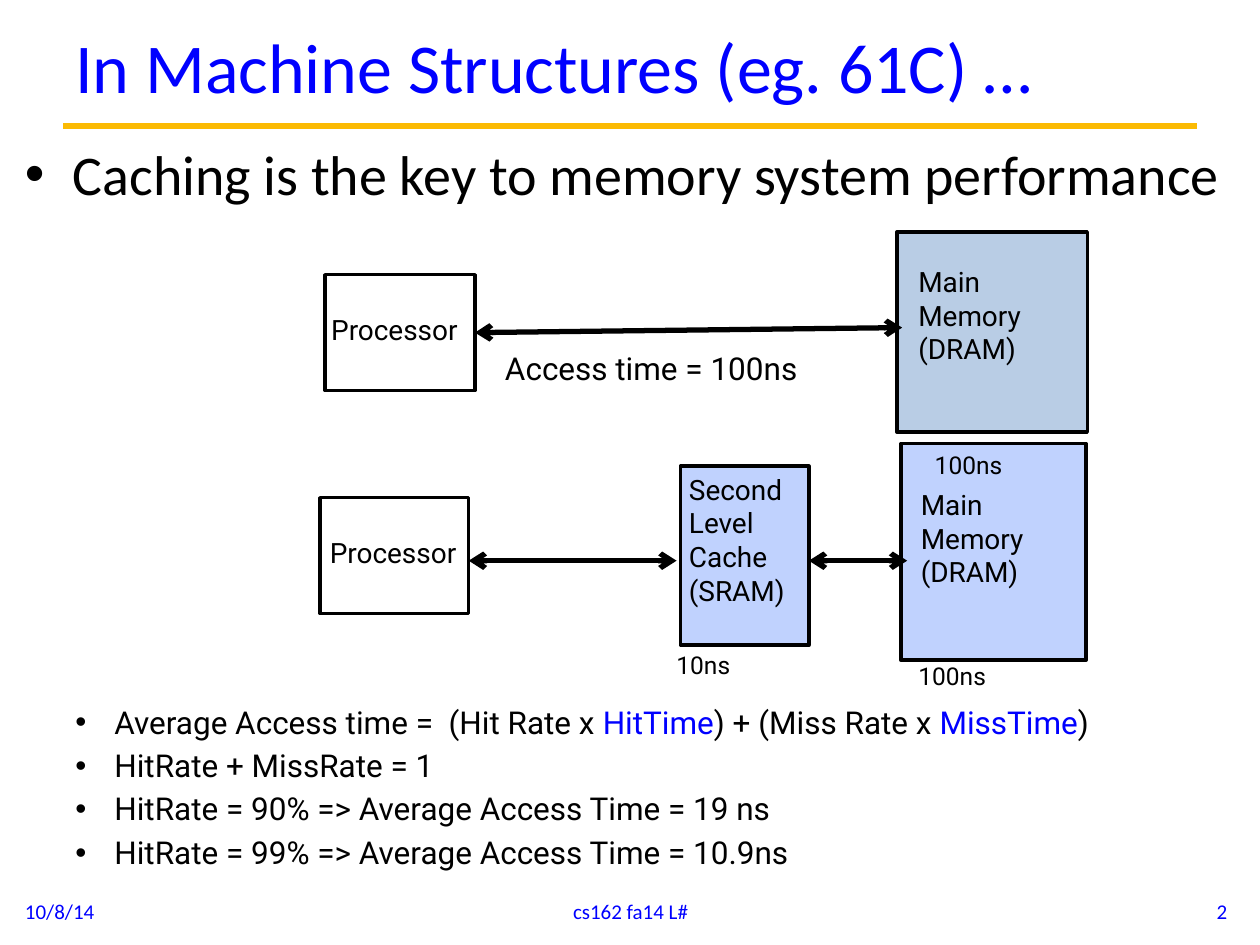
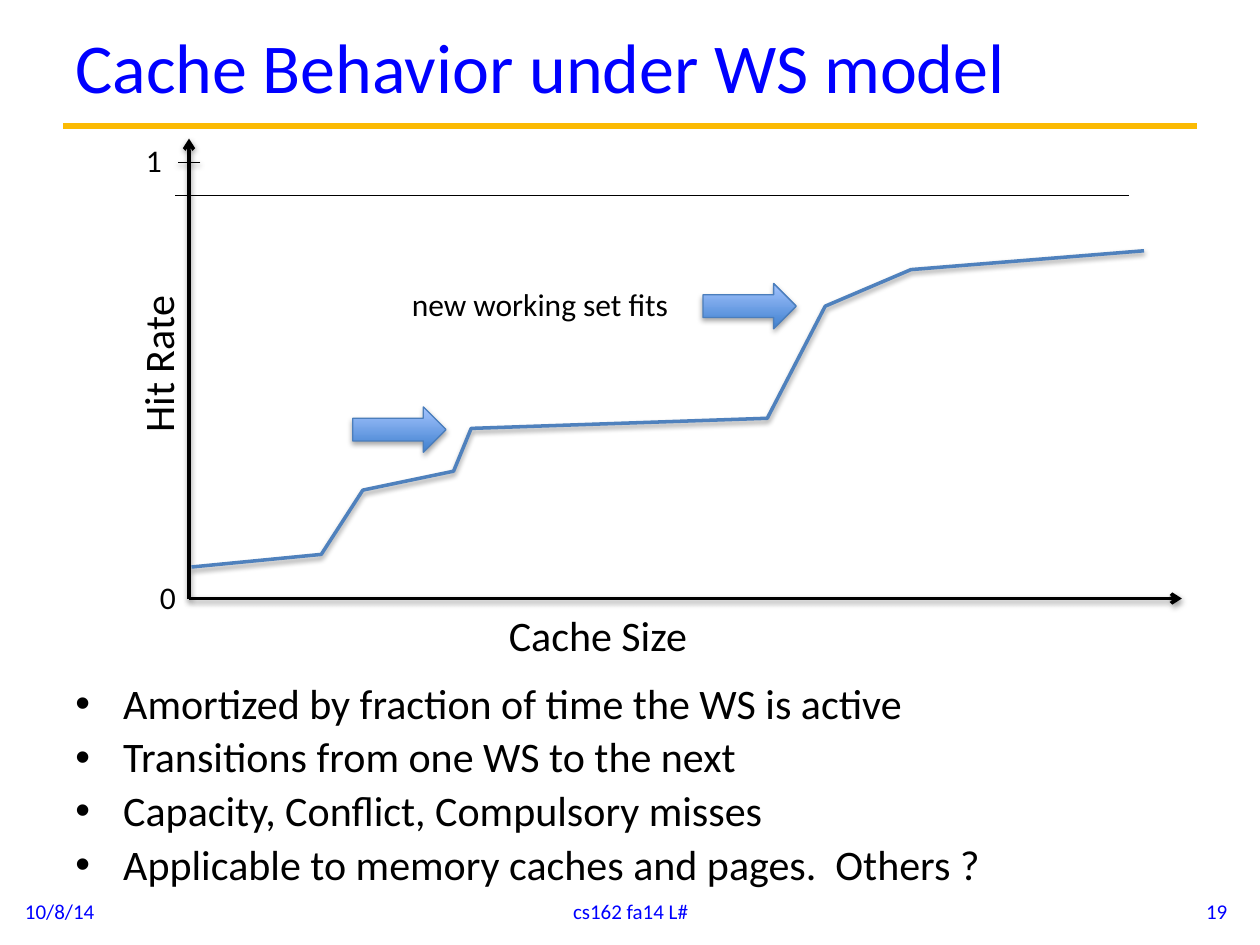
from dataclasses import dataclass

from lxml import etree
from pptx import Presentation
from pptx.dml.color import RGBColor
from pptx.enum.shapes import MSO_CONNECTOR, MSO_SHAPE
from pptx.enum.text import MSO_ANCHOR, PP_ALIGN
from pptx.oxml.ns import qn
from pptx.util import Inches, Pt

LEFT, CENTER, RIGHT = PP_ALIGN.LEFT, PP_ALIGN.CENTER, PP_ALIGN.RIGHT
TOP, MIDDLE = MSO_ANCHOR.TOP, MSO_ANCHOR.MIDDLE
RECTANGLE, RIGHT_ARROW = MSO_SHAPE.RECTANGLE, MSO_SHAPE.RIGHT_ARROW
STRAIGHT = MSO_CONNECTOR.STRAIGHT


@dataclass(frozen=True)
class Theme:
    blue: str = "0000FF"
    black: str = "000000"
    gold: str = "FBBA03"
    memory: str = "B9CDE5"
    cache: str = "C0D2FE"
    curve: str = "4F81BD"
    arrow_edge: str = "4B7EBC"
    arrow_dark: str = "3F80CE"
    arrow_light: str = "A4C4FF"
    main_font: str = "Calibri"
    diagram_font: str = "Roboto"
    title: int = 40
    lead: int = 32
    heading: int = 24
    label: int = 18
    block: int = 16
    timing: int = 14
    footer: int = 12


THEME = Theme()

DATE, COURSE = "10/8/14", "cs162 fa14 L#"
FOOTER_TOP, FOOTER_HEIGHT = 7.03, 0.4

MACHINE_TITLE = "In Machine Structures (eg. 61C) …"
MACHINE_LEAD = ["Caching is the key to memory system performance"]
ACCESS_POINTS = [
    [("Average Access time =  (Hit Rate x ", THEME.black), ("HitTime", THEME.blue),
     (") + (Miss Rate x ", THEME.black), ("MissTime", THEME.blue), (")", THEME.black)],
    "HitRate + MissRate = 1",
    "HitRate = 90% => Average Access Time = 19 ns",
    "HitRate = 99% => Average Access Time = 10.9ns",
]
MEMORY = ["Main", "Memory", "(DRAM)"]
BLOCKS = [
    ((2.58, 2.18, 1.19, 0.92), None, (2.53, 2.43, 1.38, 0.37), ["Processor"]),
    ((7.12, 1.84, 1.51, 1.59), THEME.memory, (7.19, 2.05, 1.12, 0.91), MEMORY),
    ((2.54, 3.95, 1.18, 0.92), None, (2.52, 4.2, 1.36, 0.37), ["Processor"]),
    ((5.4, 3.7, 1.02, 1.42), THEME.cache, (5.37, 3.7, 1.06, 1.18),
     ["Second", "Level", "Cache", "(SRAM)"]),
    ((7.15, 3.52, 1.47, 1.72), THEME.cache, (7.21, 3.82, 1.11, 0.91), MEMORY),
]
TIMINGS = [("100ns", 7.32, 3.52), ("10ns", 5.27, 5.11), ("100ns", 7.19, 5.2)]
BUSES = [
    ((3.77, 2.64), (7.16, 2.6)),
    ((3.72, 4.45), (5.37, 4.45)),
    ((6.42, 4.45), (7.2, 4.45)),
]

BEHAVIOR_TITLE = "Cache Behavior under WS model"
BEHAVIOR_POINTS = [
    "Amortized by fraction of time the WS is active",
    "Transitions from one WS to the next",
    "Capacity, Conflict, Compulsory misses",
    "Applicable to memory caches and pages.  Others ?",
]
ORIGIN = (1.5, 4.75)
AXIS_ENDS = [(9.38, 4.75), (1.5, 1.1)]
GUIDES = [((8.96, 1.55), (1.39, 1.55)), ((1.59, 1.29), (1.41, 1.29))]
HIT_RATE_CURVE = [(1.52, 4.5), (2.55, 4.4), (2.88, 3.89), (3.6, 3.74), (3.74, 3.4),
                  (6.09, 3.32), (6.55, 2.43), (7.23, 2.14), (9.08, 1.99)]
GRAPH_LABELS = [
    ("Hit Rate", (0.6, 2.63, 1.3, 0.5), THEME.heading, 270),
    ("Cache Size", (3.94, 4.79, 1.64, 0.5), THEME.heading, 0),
    ("new working set fits", (3.17, 2.21, 2.26, 0.4), THEME.label, 0),
    ("0", (1.17, 4.54, 0.33, 0.4), THEME.label, 0),
    ("1", (1.06, 1.07, 0.33, 0.4), THEME.label, 0),
]
FIT_ARROWS = [(5.58, 2.25), (2.8, 3.23)]


def inches(values):
    return [Inches(value) for value in values]


def color(value):
    return RGBColor.from_string(value)


def add_text(page, area, paras, size, font=THEME.main_font, ink=THEME.black,
             align=LEFT, anchor=TOP, wrap=True):
    box = page.shapes.add_textbox(*inches(area))
    frame = box.text_frame
    frame.word_wrap = wrap
    frame.vertical_anchor = anchor
    for index, content in enumerate(paras):
        para = frame.paragraphs[0] if index == 0 else frame.add_paragraph()
        para.alignment = align
        spans = [(content, ink)] if isinstance(content, str) else content
        for text, span_ink in spans:
            span = para.add_run()
            span.text = text
            span.font.name = font
            span.font.size = Pt(size)
            span.font.color.rgb = color(span_ink)
    return box


def add_bullets(page, area, paras, size, indent, gap, spacing, font=THEME.main_font):
    box = add_text(page, area, paras, size, font)
    for index, para in enumerate(box.text_frame.paragraphs):
        properties = para._p.get_or_add_pPr()
        properties.set("marL", str(Inches(indent)))
        properties.set("indent", str(-Inches(indent)))
        etree.SubElement(properties, qn("a:buFont"), typeface="Arial")
        etree.SubElement(properties, qn("a:buChar"), char="•")
        para.line_spacing = spacing[min(index, 1)]
        para.space_before = Pt(size * gap if index else 0)


def set_effects(shape, opacity=0, distance=0):
    properties = shape._element.spPr
    effects = properties.find(qn("a:effectLst"))
    if effects is None:
        effects = etree.SubElement(properties, qn("a:effectLst"))
    if opacity:
        shadow = etree.SubElement(effects, qn("a:outerShdw"), blurRad=str(Pt(3.1)),
                                  dist=str(Pt(distance)), dir="5400000", rotWithShape="0")
        ink = etree.SubElement(shadow, qn("a:srgbClr"), val=THEME.black)
        etree.SubElement(ink, qn("a:alpha"), val=str(opacity * 1000))


def set_line(shape, ink, width):
    shape.line.color.rgb = color(ink)
    shape.line.width = Pt(width)


def add_line(page, start, end, width, ink=THEME.black, arrows=(), shadow=True):
    line = page.shapes.add_connector(STRAIGHT, *inches(start + end))
    set_line(line, ink, width)
    for arrow in arrows:
        etree.SubElement(line.line._get_or_add_ln(), qn(arrow), type="arrow")
    set_effects(line, *((38, 1.6) if shadow else ()))


def add_shape(page, kind, area, ink, width):
    shape = page.shapes.add_shape(kind, *inches(area))
    shape.shadow.inherit = False
    set_line(shape, ink, width)
    return shape


def add_page(deck, title, number):
    page = deck.slides.add_slide(deck.slide_layouts[6])
    add_line(page, (0.5, 1), (9.5, 1), 3.75, THEME.gold, shadow=False)
    add_text(page, (0.5, 0.04, 9, 0.96), [title], THEME.title, ink=THEME.blue, anchor=MIDDLE)
    footers = [(DATE, 0.1, 2.33, LEFT), (COURSE, 3.42, 3.17, CENTER), (number, 7.51, 2.33, RIGHT)]
    for text, left, width, align in footers:
        add_text(page, (left, FOOTER_TOP, width, FOOTER_HEIGHT), [text], THEME.footer,
                 ink=THEME.blue, align=align, anchor=MIDDLE)
    return page


def build_machine_page(deck):
    page = add_page(deck, MACHINE_TITLE, "2")
    add_bullets(page, (0.1, 1.06, 9.74, 0.99), MACHINE_LEAD, THEME.lead, 0.38, 0.2, (1, 1))
    add_bullets(page, (0.5, 5.53, 9, 1.8), ACCESS_POINTS, THEME.label, 0.31, 0.3, (1, 0.9),
                THEME.diagram_font)
    for area, fill, text_area, lines in BLOCKS:
        block = add_shape(page, RECTANGLE, area, THEME.black, 2)
        if fill:
            block.fill.solid()
            block.fill.fore_color.rgb = color(fill)
        else:
            block.fill.background()
        add_text(page, text_area, lines, THEME.block, THEME.diagram_font)
    for text, left, top in TIMINGS:
        add_text(page, (left, top, 0.98, 0.33), [text], THEME.timing, THEME.diagram_font)
    for start, end in BUSES:
        add_line(page, start, end, 3, arrows=("a:headEnd", "a:tailEnd"), shadow=False)
    add_text(page, (3.91, 2.72, 3.33, 0.91), ["Access time = 100ns"], THEME.label,
             THEME.diagram_font)


def build_behavior_page(deck):
    page = add_page(deck, BEHAVIOR_TITLE, "19")
    add_bullets(page, (0.5, 5.37, 9, 1.66), BEHAVIOR_POINTS, THEME.heading, 0.38, 0.2, (0.9, 0.9))
    for end in AXIS_ENDS:
        add_line(page, ORIGIN, end, 2, arrows=("a:tailEnd",))
    for start, end in GUIDES:
        add_line(page, start, end, 0.75)

    points = [tuple(inches(point)) for point in HIT_RATE_CURVE]
    builder = page.shapes.build_freeform(*points[0])
    builder.add_line_segments(points[1:], close=False)
    curve = builder.convert_to_shape()
    curve.shadow.inherit = False
    curve.fill.background()
    set_line(curve, THEME.curve, 2)
    set_effects(curve, 38, 1.6)

    for left, top in FIT_ARROWS:
        arrow = add_shape(page, RIGHT_ARROW, (left, top, 0.74, 0.36), THEME.arrow_edge, 0.75)
        arrow.fill.gradient()
        arrow.fill.gradient_angle = 90
        for stop, ink in zip(arrow.fill.gradient_stops, (THEME.arrow_dark, THEME.arrow_light)):
            stop.color.rgb = color(ink)
        set_effects(arrow, 35, 1.8)
    for text, area, size, rotation in GRAPH_LABELS:
        add_text(page, area, [text], size, wrap=False).rotation = rotation


def main():
    deck = Presentation()
    deck.slide_width, deck.slide_height = Inches(10), Inches(7.5)
    build_machine_page(deck)
    build_behavior_page(deck)
    deck.save("out.pptx")


if __name__ == "__main__":
    main()
